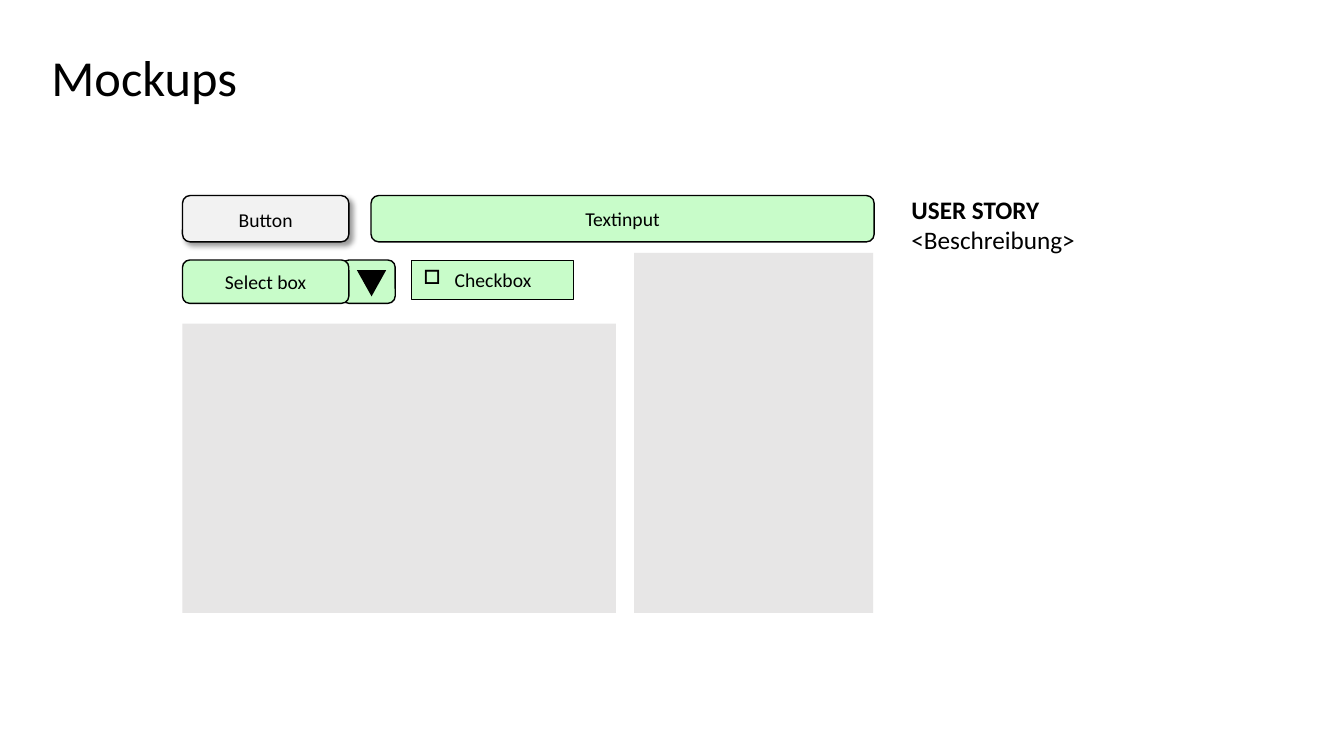
from lxml.etree import SubElement
from pptx import Presentation
from pptx.dml.color import RGBColor
from pptx.enum.shapes import MSO_SHAPE
from pptx.enum.text import MSO_ANCHOR, MSO_AUTO_SIZE, PP_ALIGN
from pptx.oxml.ns import qn
from pptx.util import Inches, Pt

BLACK = RGBColor(0x00, 0x00, 0x00)
GREEN = RGBColor(0xC8, 0xFC, 0xC9)
PALE = RGBColor(0xF2, 0xF2, 0xF2)
GREY = RGBColor(0xE7, 0xE6, 0xE6)
ROUND = MSO_SHAPE.ROUNDED_RECTANGLE
BOX = MSO_SHAPE.RECTANGLE


class Mockup:
    """Style and current slide; lengths are cells of a 75-row square grid."""
    font = "Calibri"
    rows = 75

    def __init__(self, deck):
        self.cell = deck.slide_height / self.rows
        self.slide = deck.slides.add_slide(deck.slide_layouts[5])

    def place(self, *cells):
        return [round(n * self.cell) for n in cells]

    def style(self, para, size, bold=False):
        font = para.font
        font.name, font.size, font.bold = self.font, Pt(size), bold
        font.color.rgb = BLACK

    def inset(self, frame, left, top, right, bottom):
        frame.margin_left, frame.margin_top = Inches(left), Inches(top)
        frame.margin_right, frame.margin_bottom = Inches(right), Inches(bottom)

    def title(self, text, *at):
        head = self.slide.shapes.title
        head.left, head.top, head.width, head.height = self.place(*at)
        frame = head.text_frame
        frame.text = text
        frame.vertical_anchor = MSO_ANCHOR.MIDDLE
        para = frame.paragraphs[0]
        para.alignment, para.line_spacing = PP_ALIGN.LEFT, 0.9
        self.style(para, 36)

    def shape(self, kind, at, fill, line=0):
        item = self.slide.shapes.add_shape(kind, *self.place(*at))
        item.shadow.inherit = False
        item.fill.solid()
        item.fill.fore_color.rgb = fill
        if line:
            item.line.color.rgb, item.line.width = BLACK, Pt(line)
        else:
            item.line.fill.background()
        return item

    def field(self, text, at, fill=GREEN, kind=ROUND, line=1.0):
        item = self.shape(kind, at, fill, line)
        frame = item.text_frame
        frame.text = text
        self.inset(frame, 0.12, 0.08, 0.12, 0.08)
        para = frame.paragraphs[0]
        para.alignment = PP_ALIGN.CENTER
        self.style(para, 14)
        return item

    def button(self, text, at):
        item = self.field(text, at, PALE)
        para = item.text_frame.paragraphs[0]
        para.line_spacing, para.space_before = 1.1, Pt(6)
        # Soft shadow to the lower right
        effects = item.element.spPr.find(qn("a:effectLst"))
        shade = SubElement(effects, qn("a:outerShdw"), blurRad=str(Pt(4)),
                           dist=str(Pt(3)), dir="2700000", algn="tl", rotWithShape="0")
        color = SubElement(shade, qn("a:srgbClr"), val=str(BLACK))
        SubElement(color, qn("a:alpha"), val="40000")

    def check(self, text, at):
        item = self.field(text, at, kind=BOX, line=0.75)
        frame = item.text_frame
        frame.margin_right = Inches(0.2)
        para = frame.paragraphs[0]
        para.alignment = PP_ALIGN.LEFT
        props = para._p.get_or_add_pPr()
        props.set("marL", str(Inches(0.31)))
        props.set("indent", str(-Inches(0.31)))
        bullet = SubElement(props, qn("a:buChar"), char="□")
        props.insert_element_before(bullet, "a:defRPr")

    def note(self, head, body, at):
        frame = self.slide.shapes.add_textbox(*self.place(*at)).text_frame
        frame.word_wrap = False
        frame.auto_size = MSO_AUTO_SIZE.SHAPE_TO_FIT_TEXT
        self.inset(frame, 0, 0, 0, 0)
        frame.text = f"{head}\n{body}"
        for para, bold in zip(frame.paragraphs, (True, False)):
            self.style(para, 18, bold)


def main():
    deck = Presentation()
    deck.slide_width, deck.slide_height = Inches(13.33), Inches(7.5)
    page = Mockup(deck)
    page.title("Mockups", 4.1, 4.4, 125.2, 7.1)

    # First row: button and text input
    left, wide = 18.1, 16.5
    top, mid = 19.4, 25.8
    page.button("Button", (left, top, wide, 4.6))
    page.field("Textinput", (36.8, top, 49.9, 4.6))

    # Second row: select box with its arrow, then the checkbox
    page.shape(ROUND, (33.9, mid, 5.3, 4.3), GREEN, 1)
    page.field("Select box", (left, mid, wide, 4.3))
    arrow = page.shape(MSO_SHAPE.ISOSCELES_TRIANGLE, (35.4, 26.8, 2.9, 2.6), BLACK)
    arrow.rotation = 180
    page.check("Checkbox", (40.8, mid, 16.1, 3.9))

    # Content panels with a shared lower edge
    base = 60.8
    for x, y, width in ((left, 32.1, 43), (62.9, 25.1, 23.7)):
        page.shape(BOX, (x, y, width, base - y), GREY)

    # User story
    page.note("USER STORY", "<Beschreibung>", (90.4, 19.3, 16.3, 6.1))
    deck.save("out.pptx")


if __name__ == "__main__":
    main()
